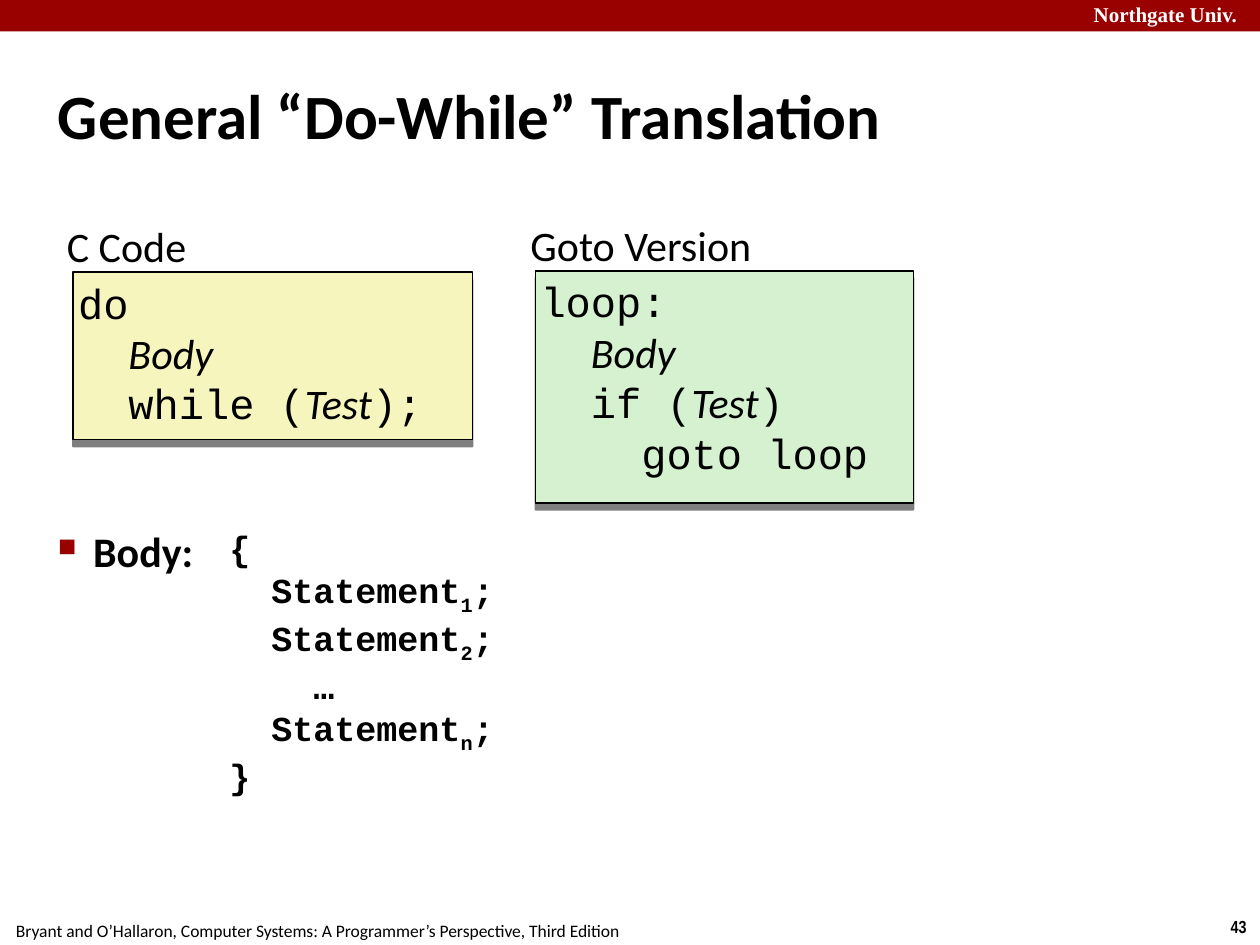
import pptx
import pptx.dml.color
import pptx.enum.shapes
import pptx.enum.text
import pptx.oxml
import pptx.oxml.ns
import pptx.util

Inches = pptx.util.Inches
Pt = pptx.util.Pt
ALIGN = pptx.enum.text.PP_ALIGN
ANCHOR = pptx.enum.text.MSO_ANCHOR

COLORS = {
    "black": "000000",
    "white": "FFFFFF",
    "red": "990000",
    "yellow": "F6F5BD",
    "green": "D5F1CF",
}
SANS, MONO = "Calibri", "Courier New"
TIGHT = (0.04, 0.04)
LOOSE = (0.1, 0.05)


def xml(tag, attributes="", inner=""):
    namespace = pptx.oxml.ns.nsdecls("a")
    return pptx.oxml.parse_xml(f"<a:{tag} {namespace} {attributes}>{inner}</a:{tag}>")


def color(name):
    return pptx.dml.color.RGBColor.from_string(COLORS[name])


class SlideBuilder:
    """Holds the text style and the current slide."""

    def __init__(self, slide):
        self.slide = slide

    def fill_text(self, shape, lines, size, font=SANS, ink="black", bold=False,
                  align=ALIGN.LEFT, anchor=ANCHOR.TOP, margins=TIGHT,
                  wrap=True, before=0, bullet=False):
        """Each line is (indent level, spans); a span is (text, kind)."""
        frame = shape.text_frame
        frame.word_wrap = wrap
        frame.vertical_anchor = anchor
        frame.margin_left = frame.margin_right = Inches(margins[0])
        frame.margin_top = frame.margin_bottom = Inches(margins[1])
        for index, (level, spans) in enumerate(lines):
            para = frame.paragraphs[0] if index == 0 else frame.add_paragraph()
            properties = para._p.get_or_add_pPr()
            if bullet:
                properties.set("marL", str(Inches(0.28)))
                properties.set("indent", str(-Inches(0.28)))
                properties.append(xml("buClr", inner=f'<a:srgbClr val="{COLORS["red"]}"/>'))
                properties.append(xml("buSzPct", 'val="60000"'))
                properties.append(xml("buChar", 'char="■"'))
            elif level:
                # One level is two monospaced characters, each 0.6 em wide
                properties.set("marL", str(Pt(level * 1.2 * size)))
            para.alignment = align
            para.space_before = Pt(before)
            para.font.size = Pt(size)
            para.font.name = font
            para.font.bold = bold
            para.font.color.rgb = color(ink)
            for text, kind in spans:
                span = para.add_run()
                span.text = text
                if kind == "term":
                    span.font.name = SANS
                    span.font.italic = True
                elif kind == "sub":
                    span.font._element.set("baseline", "-25000")

    def text(self, at, lines, size, **style):
        box = self.slide.shapes.add_textbox(*map(Inches, at))
        if isinstance(lines, str):
            lines = [(0, [(lines, "plain")])]
        self.fill_text(box, lines, size, **style)

    def rectangle(self, at, fill):
        kind = pptx.enum.shapes.MSO_SHAPE.RECTANGLE
        box = self.slide.shapes.add_shape(kind, *map(Inches, at))
        box.shadow.inherit = False
        box.fill.solid()
        box.fill.fore_color.rgb = color(fill)
        box.line.fill.background()
        return box

    def code_panel(self, at, fill, lines):
        panel = self.rectangle(at, fill)
        panel.line.color.rgb = color("black")
        panel.line.width = Pt(1)
        # Half-transparent shadow straight below the panel
        effects = panel._element.spPr.find(pptx.oxml.ns.qn("a:effectLst"))
        effects.append(xml(
            "outerShdw", f'blurRad="0" dist="{Pt(4)}" dir="5400000" rotWithShape="0"',
            f'<a:srgbClr val="{COLORS["black"]}"><a:alpha val="50000"/></a:srgbClr>'))
        self.fill_text(panel, lines, 24, font=MONO)


def statement(number):
    return (1, [("Statement", "plain"), (number, "sub"), (";", "plain")])


def main():
    deck = pptx.Presentation()
    deck.slide_width, deck.slide_height = Inches(10), Inches(7.5)
    page = SlideBuilder(deck.slides.add_slide(deck.slide_layouts[6]))

    # Footer and header band
    page.text((9.66, 7.22, 0.34, 0.27), "43", 10, font="Arial Narrow", bold=True,
              align=ALIGN.CENTER, margins=LOOSE, wrap=False)
    page.text((-0.02, 7.25, 5.08, 0.27),
              "Bryant and O’Hallaron, Computer Systems: A Programmer’s Perspective, Third Edition",
              10, align=ALIGN.CENTER, margins=LOOSE, wrap=False)
    page.rectangle((0, 0, 10.01, 0.25), "red")
    page.text((8.64, -0.03, 1.44, 0.28), "Northgate Univ.", 12,
              font="Times New Roman", ink="white", bold=True)

    # Title
    page.text((0.42, 0.28, 9.17, 1.25), "General “Do-While” Translation", 36,
              bold=True, anchor=ANCHOR.MIDDLE)

    # C code and its goto version
    body = (1, [("Body", "term")])
    page.text((0.49, 1.71, 2.86, 0.49), "C Code", 24, before=8.6)
    page.code_panel((0.58, 2.16, 3.17, 1.33), "yellow", [
        (0, [("do", "plain")]),
        body,
        (1, [("while (", "plain"), ("Test", "term"), (");", "plain")]),
    ])
    page.text((4.17, 1.7, 2.53, 0.49), "Goto Version", 24, before=8.6)
    page.code_panel((4.25, 2.15, 3, 1.84), "green", [
        (0, [("loop:", "plain")]),
        body,
        (1, [("if (", "plain"), ("Test", "term"), (")", "plain")]),
        (2, [("goto loop", "plain")]),
    ])

    # Meaning of the body
    page.text((0.42, 4.13, 9.17, 2.72), "Body:", 24, bold=True, before=6, bullet=True)
    page.text((1.78, 4.14, 2.43, 2.47), [
        (0, [("{", "plain")]),
        statement("1"),
        statement("2"),
        (2, [("…", "plain")]),
        statement("n"),
        (0, [("}", "plain")]),
    ], 20, font=MONO, bold=True)

    deck.save("out.pptx")


if __name__ == "__main__":
    main()
